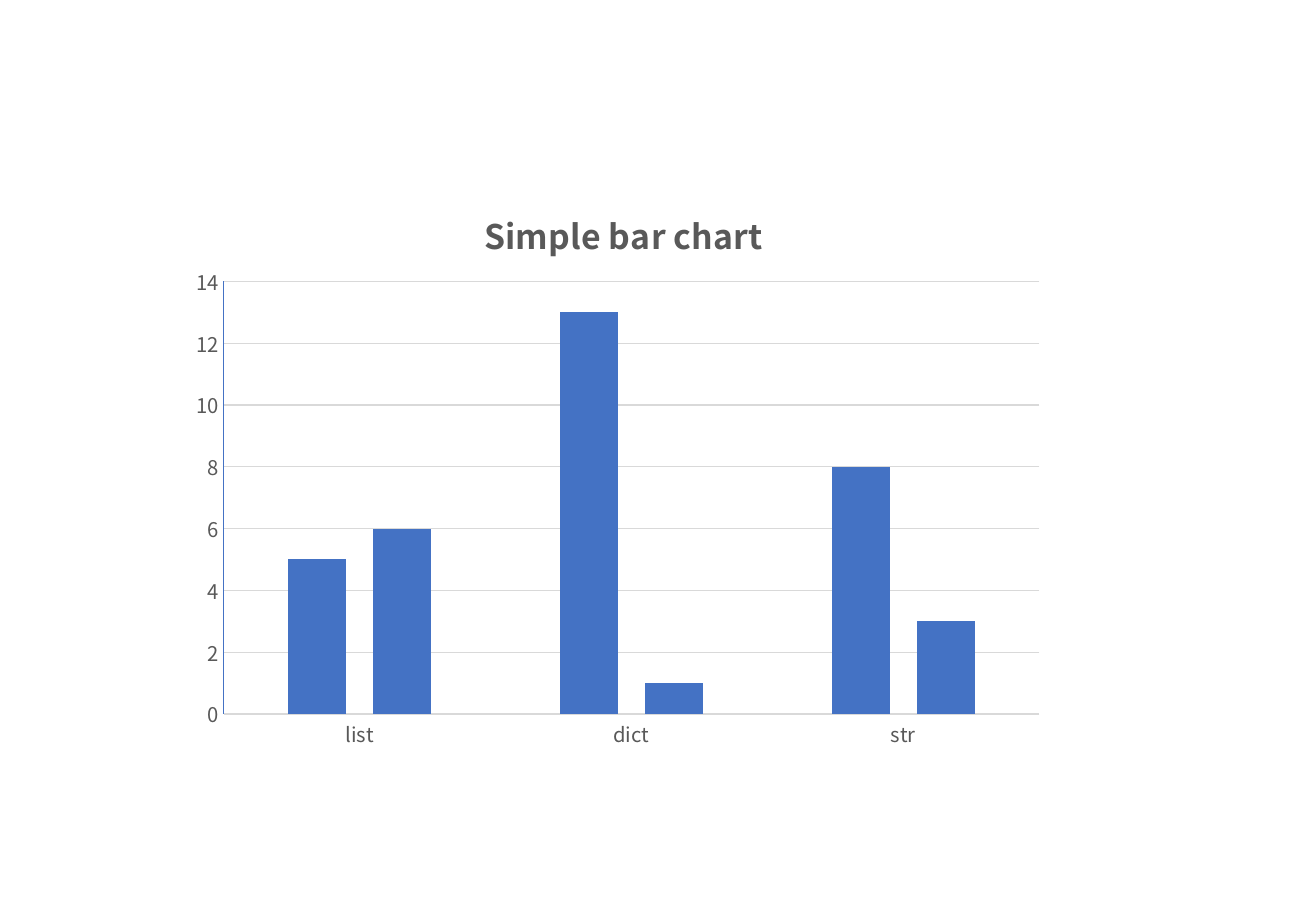
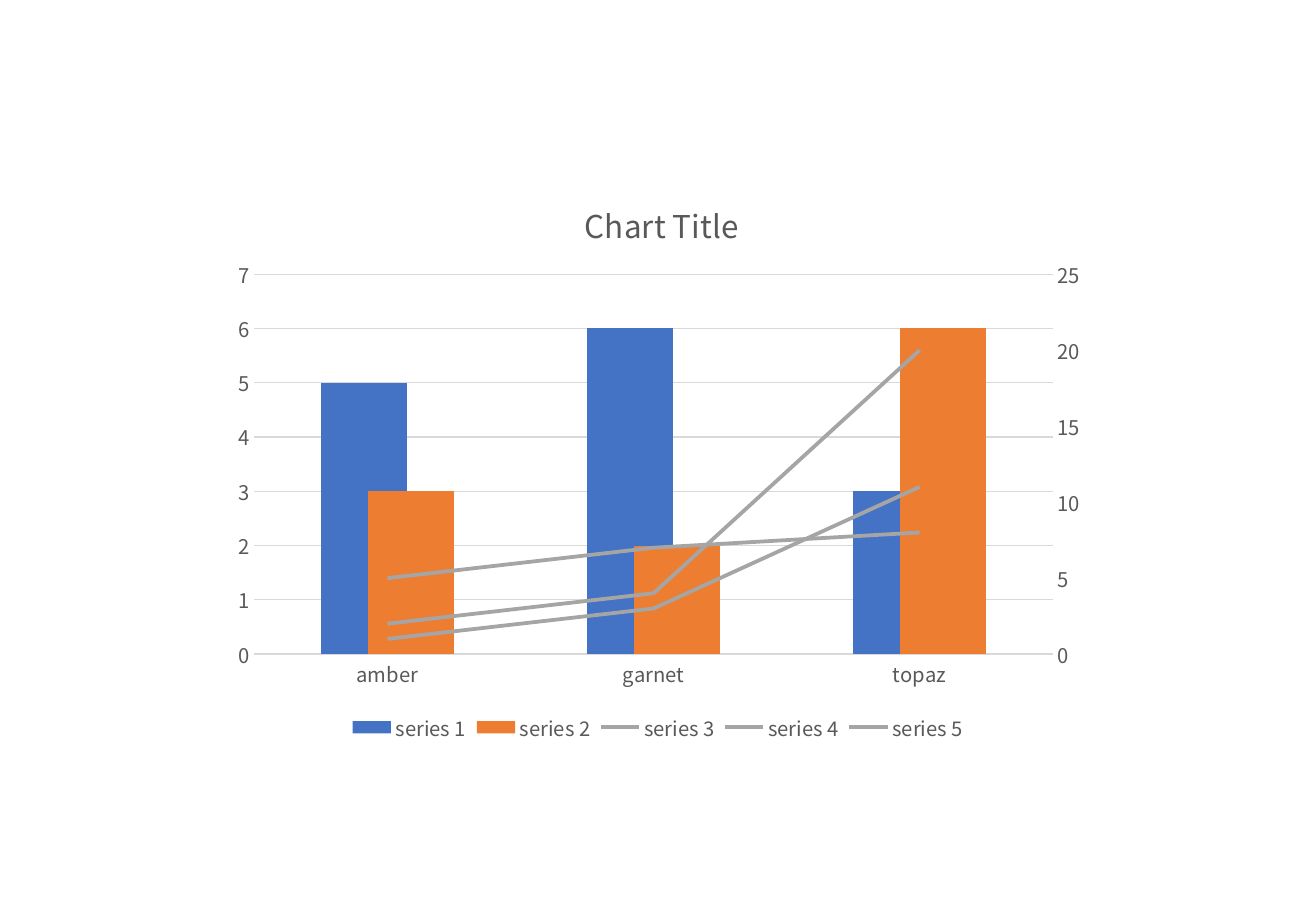
from copy import deepcopy

from pptx import Presentation
from pptx.chart.data import CategoryChartData
from pptx.dml.color import RGBColor
from pptx.enum.chart import XL_CHART_TYPE, XL_LEGEND_POSITION, XL_MARKER_STYLE, XL_TICK_MARK
from pptx.oxml import parse_xml
from pptx.oxml.ns import nsdecls, qn
from pptx.util import Pt

FONT = "Noto Sans CJK KR"
BLUE = RGBColor(0x44, 0x72, 0xC4)
ORANGE = RGBColor(0xED, 0x7D, 0x31)
GREY = RGBColor(0xA5, 0xA5, 0xA5)
TEXT_GREY = RGBColor(0x59, 0x59, 0x59)
GRID_GREY = RGBColor(0xD9, 0xD9, 0xD9)

PAGE_WIDTH, PAGE_HEIGHT = 780, 540
CHART_WIDTH, CHART_HEIGHT = 520, 346.5
LEFT_AXIS, RIGHT_AXIS, HIDDEN_AXIS = "c:valAx", "50010", "50020"


def style_font(font, size, bold=False):
    font.name = FONT
    font.size = Pt(size)
    font.bold = bold
    font.color.rgb = TEXT_GREY


def style_line(line, color, width=0.75):
    """Draw the line in the given colour, or hide it when there is none."""
    if color is None:
        line.fill.background()
    else:
        line.color.rgb = color
        line.width = Pt(width)


def place(element, x, y, width=None, height=None, inner=False):
    """Fix a chart part at fractions of the chart's width and height."""
    values = {"x": x, "y": y, "w": width, "h": height}
    target = '<c:layoutTarget val="inner"/>' if inner else ""
    modes = '<c:xMode val="edge"/><c:yMode val="edge"/>'
    sizes = "".join(f'<c:{key} val="{value}"/>' for key, value in values.items()
                    if value is not None)
    layout = parse_xml(f'<c:layout {nsdecls("c")}><c:manualLayout>'
                       f"{target}{modes}{sizes}</c:manualLayout></c:layout>")
    present = element.find(qn("c:layout"))
    if present is not None:
        element.remove(present)
    overlay = element.find(qn("c:overlay"))
    if overlay is None:
        element.insert(0, layout)
    else:
        overlay.addprevious(layout)


def chart_part(chart, tag):
    return next(chart.element.iter(qn(tag)))


def add_title(chart, text, x, y, size, bold=False):
    frame = chart.chart_title.text_frame
    span = frame.paragraphs[0].add_run()
    span.text = text
    style_font(span.font, size, bold)
    place(chart_part(chart, "c:title"), x, y)


def add_column_chart(page, left, top, categories, series, colors, gap, overlap,
                     plot_box, axis_color=None):
    data = CategoryChartData()
    data.categories = categories
    for name, values in series.items():
        data.add_series(name, values)
    chart = page.shapes.add_chart(XL_CHART_TYPE.COLUMN_CLUSTERED, Pt(left), Pt(top),
                                  Pt(CHART_WIDTH), Pt(CHART_HEIGHT), data).chart
    chart.has_legend = False
    style_font(chart.font, 12)

    plot = chart.plots[0]
    plot.vary_by_categories = False
    plot.gap_width, plot.overlap = gap, overlap
    for column, color in zip(plot.series, colors):
        column.format.fill.solid()
        column.format.fill.fore_color.rgb = color

    for axis, color in ((chart.category_axis, GRID_GREY), (chart.value_axis, axis_color)):
        axis.major_tick_mark = axis.minor_tick_mark = XL_TICK_MARK.NONE
        style_font(axis.tick_labels.font, 12)
        style_line(axis.format.line, color)
    chart.value_axis.has_major_gridlines = True
    style_line(chart.value_axis.major_gridlines.format.line, GRID_GREY)
    place(chart_part(chart, "c:plotArea"), *plot_box, inner=True)
    return chart


def move_to_right_axis(chart, first, color):
    """Turn the series from index first onwards into lines on a second value axis."""
    columns = chart_part(chart, "c:barChart")
    lines = parse_xml(f'<c:lineChart {nsdecls("c")}><c:grouping val="standard"/>'
                      '<c:varyColors val="0"/><c:marker val="1"/>'
                      f'<c:axId val="{HIDDEN_AXIS}"/><c:axId val="{RIGHT_AXIS}"/>'
                      "</c:lineChart>")
    marker = lines.find(qn("c:marker"))
    for item in columns.findall(qn("c:ser"))[first:]:
        for invert in item.findall(qn("c:invertIfNegative")):
            item.remove(invert)
        marker.addprevious(item)
    columns.addnext(lines)

    left = chart_part(chart, LEFT_AXIS)
    right, hidden = deepcopy(left), deepcopy(chart_part(chart, "c:catAx"))
    right.remove(right.find(qn("c:majorGridlines")))
    changes = (
        (right, {"axId": RIGHT_AXIS, "crossAx": HIDDEN_AXIS, "axPos": "r", "crosses": "max"}),
        (hidden, {"axId": HIDDEN_AXIS, "crossAx": RIGHT_AXIS, "delete": "1"}),
    )
    for axis, settings in changes:
        for tag, value in settings.items():
            axis.find(qn(f"c:{tag}")).set("val", value)
    left.addnext(right)
    right.addnext(hidden)

    for line in chart.plots[1].series:
        line.smooth = False
        line.marker.style = XL_MARKER_STYLE.NONE
        style_line(line.format.line, color, 2.25)


def add_legend(chart, box):
    chart.has_legend = True
    chart.legend.position = XL_LEGEND_POSITION.BOTTOM
    chart.legend.include_in_layout = False
    style_font(chart.legend.font, 12)
    place(chart_part(chart, "c:legend"), *box)


def build_bar_page(page):
    chart = add_column_chart(
        page, 106.5, 104.5, ["list", "dict", "str"],
        {"Series 1": (5, 13, 8), "Series 2": (6, 1, 3)},
        (BLUE, BLUE), gap=219, overlap=-45,
        plot_box=(0.05, 0.18, 0.93, 0.74), axis_color=BLUE)
    add_title(chart, "Simple bar chart", 0.34, 0.04, size=20, bold=True)


def build_combined_page(page):
    series = {
        "series 1": (5, 6, 3),
        "series 2": (3, 2, 6),
        "series 3": (5, 7, 8),
        "series 4": (1, 3, 11),
        "series 5": (2, 4, 20),
    }
    chart = add_column_chart(
        page, (PAGE_WIDTH - CHART_WIDTH) / 2, (PAGE_HEIGHT - CHART_HEIGHT) / 2,
        ["amber", "garnet", "topaz"], series, (BLUE, ORANGE), gap=154, overlap=46,
        plot_box=(0.04, 0.19, 0.91, 0.65))
    move_to_right_axis(chart, 2, GREY)
    add_title(chart, "Chart Title", 0.41, 0.05, size=18.6)
    add_legend(chart, (0.14, 0.93, 0.72, 0.07))


def main():
    deck = Presentation()
    deck.slide_width, deck.slide_height = Pt(PAGE_WIDTH), Pt(PAGE_HEIGHT)
    for build in (build_bar_page, build_combined_page):
        build(deck.slides.add_slide(deck.slide_layouts[6]))
    deck.save("out.pptx")


if __name__ == "__main__":
    main()
